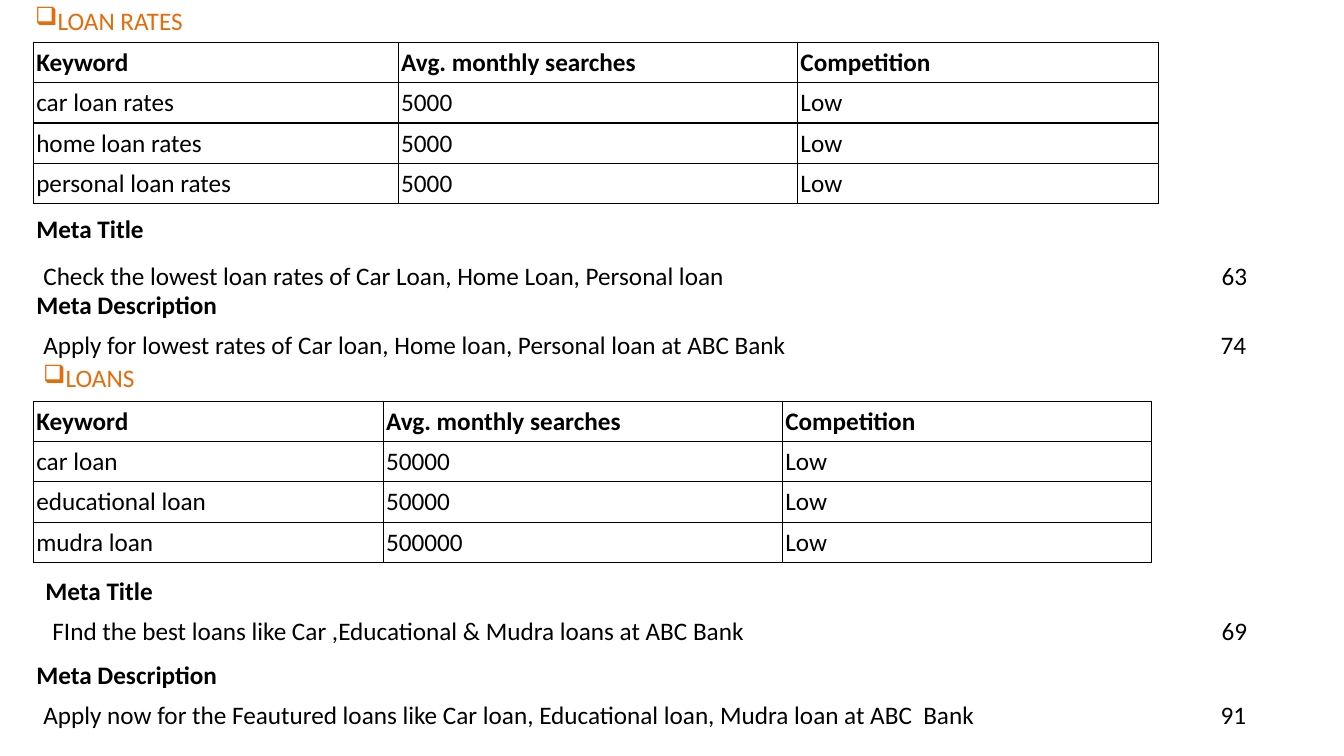
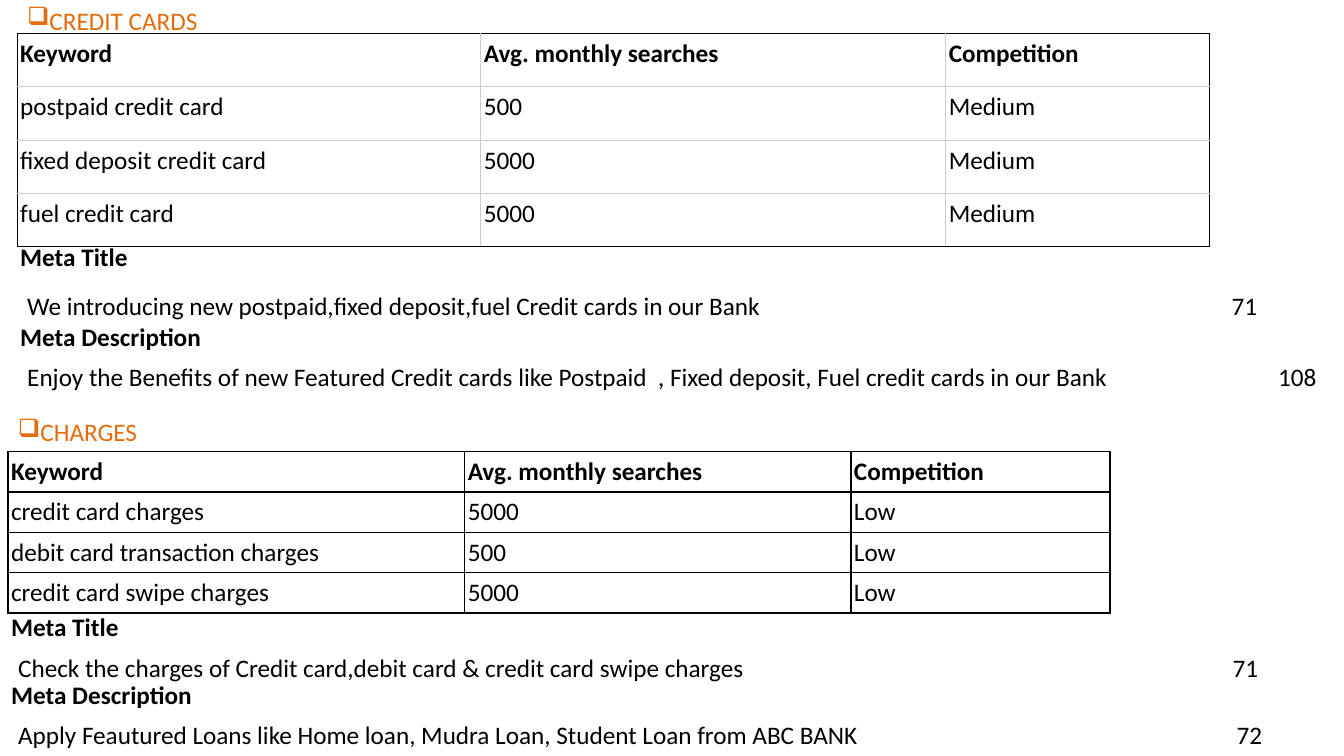
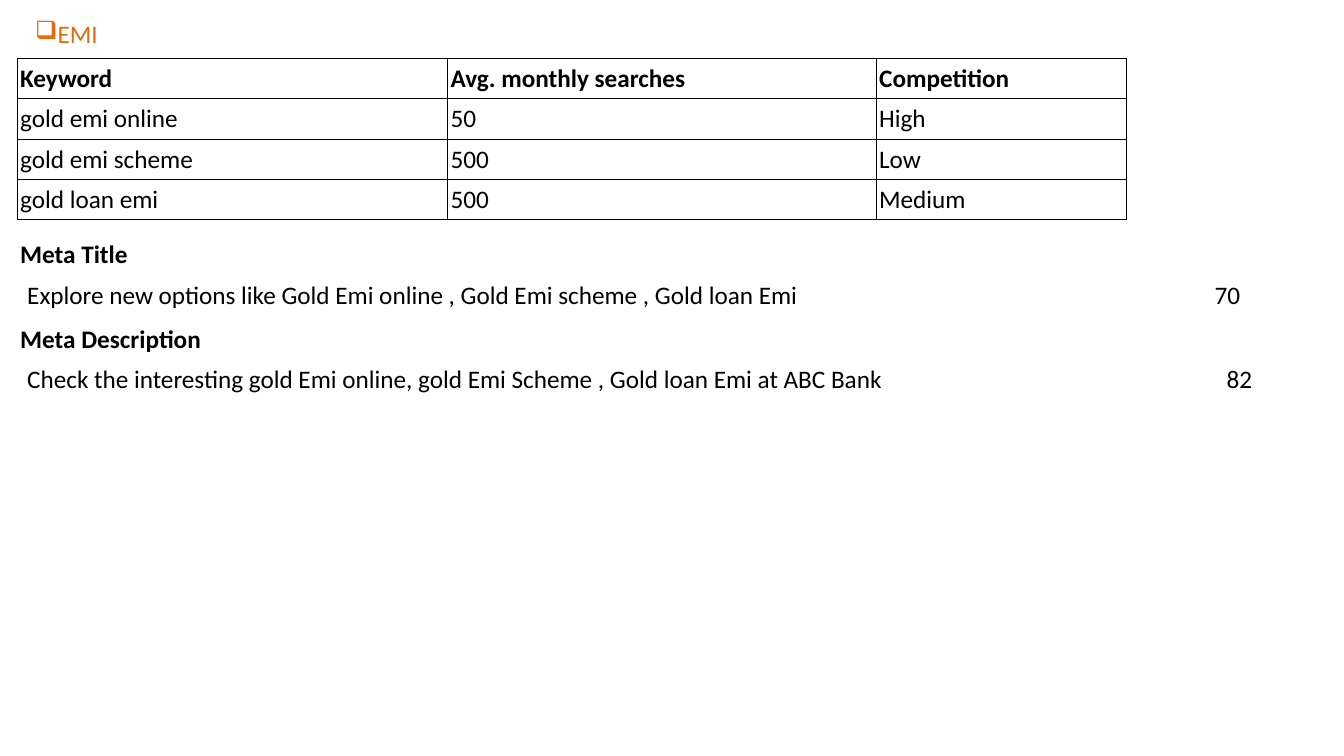
from lxml.etree import SubElement
from pptx import Presentation
from pptx.dml.color import RGBColor
from pptx.enum.text import PP_ALIGN
from pptx.oxml.ns import qn
from pptx.util import Inches, Pt

FONT = "Calibri"
SIZE = Pt(18)
BLACK = RGBColor(0x00, 0x00, 0x00)
GREY = RGBColor(0xCC, 0xCC, 0xCC)
ORANGE = RGBColor(0xE4, 0x6C, 0x0A)
PLAIN_TABLE = "{2D5ABB26-0587-4C30-8999-92F81FD0307C}"
HEADER = ("Keyword", "Avg. monthly searches", "Competition")
ROW = 0.4


def style_run(p, color=BLACK, bold=False):
    """Apply the shared font to every run of a paragraph."""
    for r in p.runs:
        r.font.name = FONT
        r.font.size = SIZE
        r.font.bold = bold
        r.font.color.rgb = color


def add_heading(slide, text, left, top, width):
    """Add an orange section heading with a box bullet."""
    tf = slide.shapes.add_textbox(Inches(left), Inches(top), Inches(width), Inches(ROW)).text_frame
    tf.word_wrap = True
    p = tf.paragraphs[0]
    p.text = text
    pPr = p._p.get_or_add_pPr()
    pPr.set("marL", "0")
    pPr.set("indent", str(-Inches(0.24)))
    SubElement(SubElement(pPr, qn("a:buClr")), qn("a:srgbClr"), val=str(ORANGE))
    SubElement(pPr, qn("a:buChar"), char="❑")
    style_run(p, ORANGE)


def add_plain_table(slide, left, top, cols, rows):
    """Add an unstyled table with the given column widths and row heights."""
    frame = slide.shapes.add_table(len(rows), len(cols), Inches(left), Inches(top),
                                   Inches(sum(cols)), Inches(sum(rows)))
    table = frame.table
    table.first_row = table.horz_banding = False
    frame._element.find(".//" + qn("a:tableStyleId")).text = PLAIN_TABLE
    for col, width in zip(table.columns, cols):
        col.width = Inches(width)
    for row, height in zip(table.rows, rows):
        row.height = Inches(height)
    return table


def fill_cell(cell, text, bold=False, align=PP_ALIGN.LEFT, margin=0.03):
    """Write styled text into a table cell."""
    cell.margin_left = cell.margin_right = Inches(margin)
    p = cell.text_frame.paragraphs[0]
    p.text = text
    p.alignment = align
    style_run(p, bold=bold)


def set_borders(cell, width, colors):
    """Draw the left, right, top and bottom borders of a cell."""
    tcPr = cell._tc.get_or_add_tcPr()
    for side, color in zip("LRTB", colors):
        ln = SubElement(tcPr, qn("a:ln" + side), w=str(Pt(width)))
        SubElement(SubElement(ln, qn("a:solidFill")), qn("a:srgbClr"), val=str(color))


def add_keywords(slide, left, top, cols, records, row=ROW, inner=BLACK, line=0.96):
    """Add the bordered keyword table."""
    data = [HEADER, *records]
    table = add_plain_table(slide, left, top, cols, [row] * len(data))
    for i, record in enumerate(data):
        for j, text in enumerate(record):
            cell = table.cell(i, j)
            fill_cell(cell, text, bold=i == 0)
            on_edge = (j == 0, j == len(cols) - 1, i == 0, i == len(data) - 1)
            set_borders(cell, line, [BLACK if edge else inner for edge in on_edge])
            cell.fill.background()


def add_meta(slide, label, text, count, left, top, cols, rows=(ROW, ROW)):
    """Add a meta label with its text and character count."""
    table = add_plain_table(slide, left, top, cols, rows)
    fill_cell(table.cell(0, 0), label, bold=True)
    fill_cell(table.cell(1, 0), text, margin=0.1)
    fill_cell(table.cell(1, len(cols) - 1), count, align=PP_ALIGN.RIGHT)


def add_loans_slide(slide):
    """Build the loan rates and loans sections."""
    add_heading(slide, "LOAN RATES", 0.25, 0, 7.26)
    add_keywords(slide, 0.33, 0.42, (3.62, 3.96, 3.58), [
        ("car loan rates", "5000", "Low"),
        ("home loan rates", "5000", "Low"),
        ("personal loan rates", "5000", "Low")])
    add_meta(slide, "Meta Title",
             "Check the lowest loan rates of Car Loan, Home Loan, Personal loan",
             "63", 0.33, 2.08, (9.08, 0.36, 1.09, 1.54), (0.46, 0.46))
    add_meta(slide, "Meta Description",
             "Apply for lowest rates of Car loan, Home loan, Personal loan at ABC Bank",
             "74", 0.33, 2.83, (9.29, 0.43, 0.39, 1.95))
    add_heading(slide, "LOANS", 0.33, 3.55, 6.9)
    add_keywords(slide, 0.33, 3.98, (3.47, 3.96, 3.66), [
        ("car loan", "50000", "Low"),
        ("educational loan", "50000", "Low"),
        ("mudra loan", "500000", "Low")])
    add_meta(slide, "Meta Title",
             "FInd the best loans like Car ,Educational & Mudra loans at ABC Bank",
             "69", 0.42, 5.67, (9.09, 0.68, 0.76, 1.45))
    add_meta(slide, "Meta Description",
             "Apply now for the Feautured loans like Car loan, Educational loan, Mudra loan at ABC  Bank",
             "91", 0.33, 6.5, (10.34, 0.36, 0.45, 0.91))


def add_cards_slide(slide):
    """Build the credit cards and charges sections."""
    add_heading(slide, "CREDIT CARDS", 0.17, 0, 7.46)
    add_keywords(slide, 0.17, 0.33, (4.6, 4.61, 2.62), [
        ("postpaid credit card", "500", "Medium"),
        ("fixed deposit credit card", "5000", "Medium"),
        ("fuel credit card", "5000", "Medium")], row=0.53, inner=GREY, line=0.75)
    add_meta(slide, "Meta Title",
             "We introducing new postpaid,fixed deposit,fuel Credit cards in our Bank",
             "71", 0.17, 2.36, (10.66, 0.37, 0.37, 0.93), (0.48, 0.49))
    add_meta(slide, "Meta Description",
             "Enjoy the Benefits of new Featured Credit cards like Postpaid  , "
             "Fixed deposit, Fuel credit cards in our Bank",
             "108", 0.17, 3.15, (11.17, 0.11, 0.18, 0.17, 0.12, 0.11, 0.55), (ROW, 0.64))
    add_heading(slide, "CHARGES", 0.08, 4.08, 1.41)
    add_keywords(slide, 0.08, 4.48, (4.53, 3.83, 2.57), [
        ("credit card charges", "5000", "Low"),
        ("debit card transaction charges", "500", "Low"),
        ("credit card swipe charges", "5000", "Low")])
    add_meta(slide, "Meta Title",
             "Check the charges of Credit card,debit card & credit card swipe charges",
             "71", 0.08, 6.03, (8.8, 0.6, 0.56, 2.47))
    add_meta(slide, "Meta Description",
             "Apply Feautured Loans like Home loan, Mudra Loan, Student Loan from ABC BANK",
             "72", 0.08, 6.7, (9.97, 0.19, 0.38, 1.88))


def add_emi_slide(slide):
    """Build the EMI section."""
    add_heading(slide, "EMI", 0.25, 0.13, 6.92)
    add_keywords(slide, 0.17, 0.58, (4.27, 4.25, 2.48), [
        ("gold emi online", "50", "High"),
        ("gold emi scheme", "500", "Low"),
        ("gold loan emi", "500", "Medium")])
    add_meta(slide, "Meta Title",
             "Explore new options like Gold Emi online , Gold Emi scheme , Gold loan Emi",
             "70", 0.17, 2.33, (8.91, 0.34, 0.43, 0.45, 2.03))
    add_meta(slide, "Meta Description",
             "Check the interesting gold Emi online, gold Emi Scheme , Gold loan Emi at ABC Bank",
             "82", 0.17, 3.17, (10.34, 0.18, 0.27, 0.18, 1.19))


def main():
    """Create and save the presentation."""
    prs = Presentation()
    prs.slide_width = Inches(13.33)
    prs.slide_height = Inches(7.5)
    for build in (add_loans_slide, add_cards_slide, add_emi_slide):
        build(prs.slides.add_slide(prs.slide_layouts[6]))
    prs.save("out.pptx")


if __name__ == "__main__":
    main()
